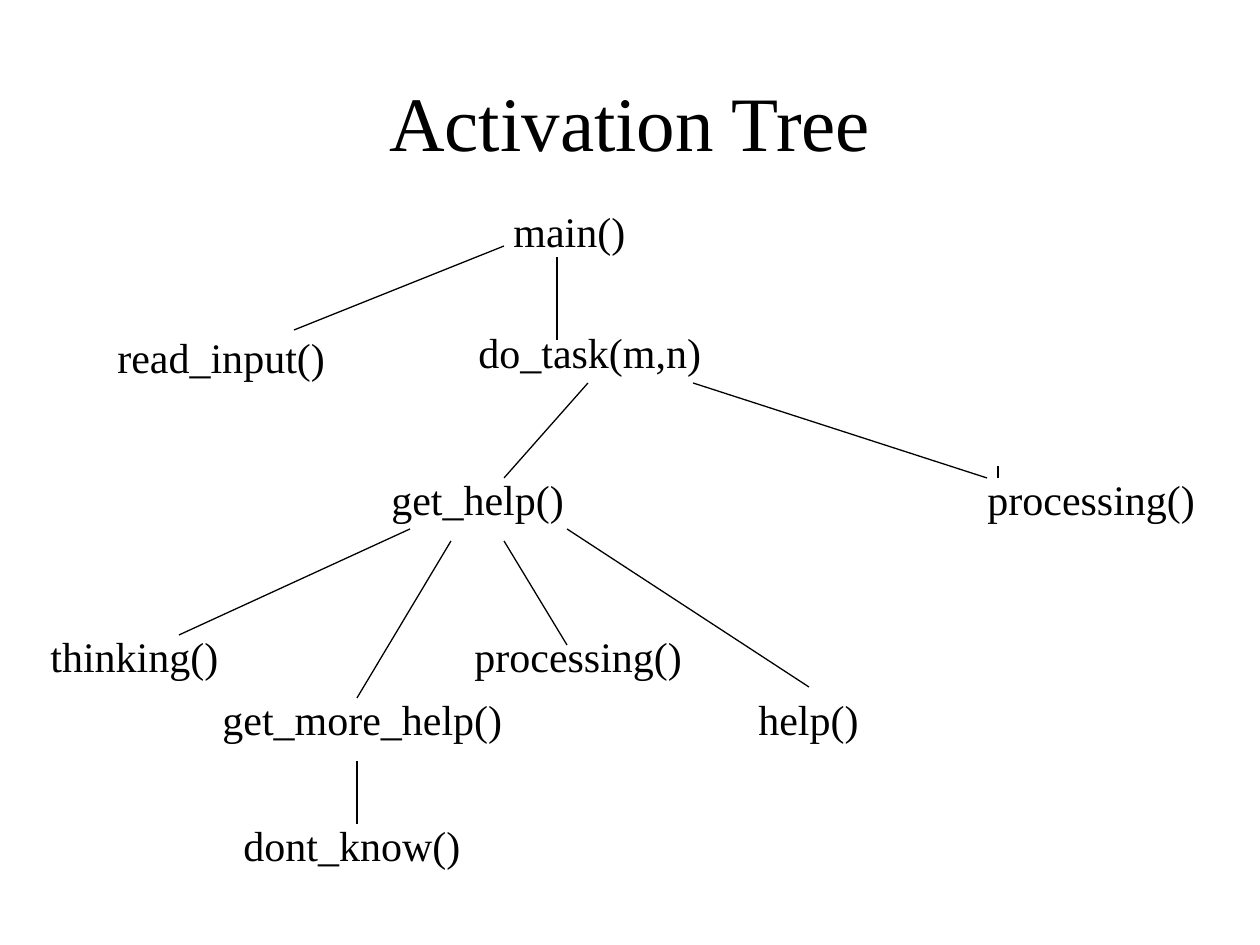
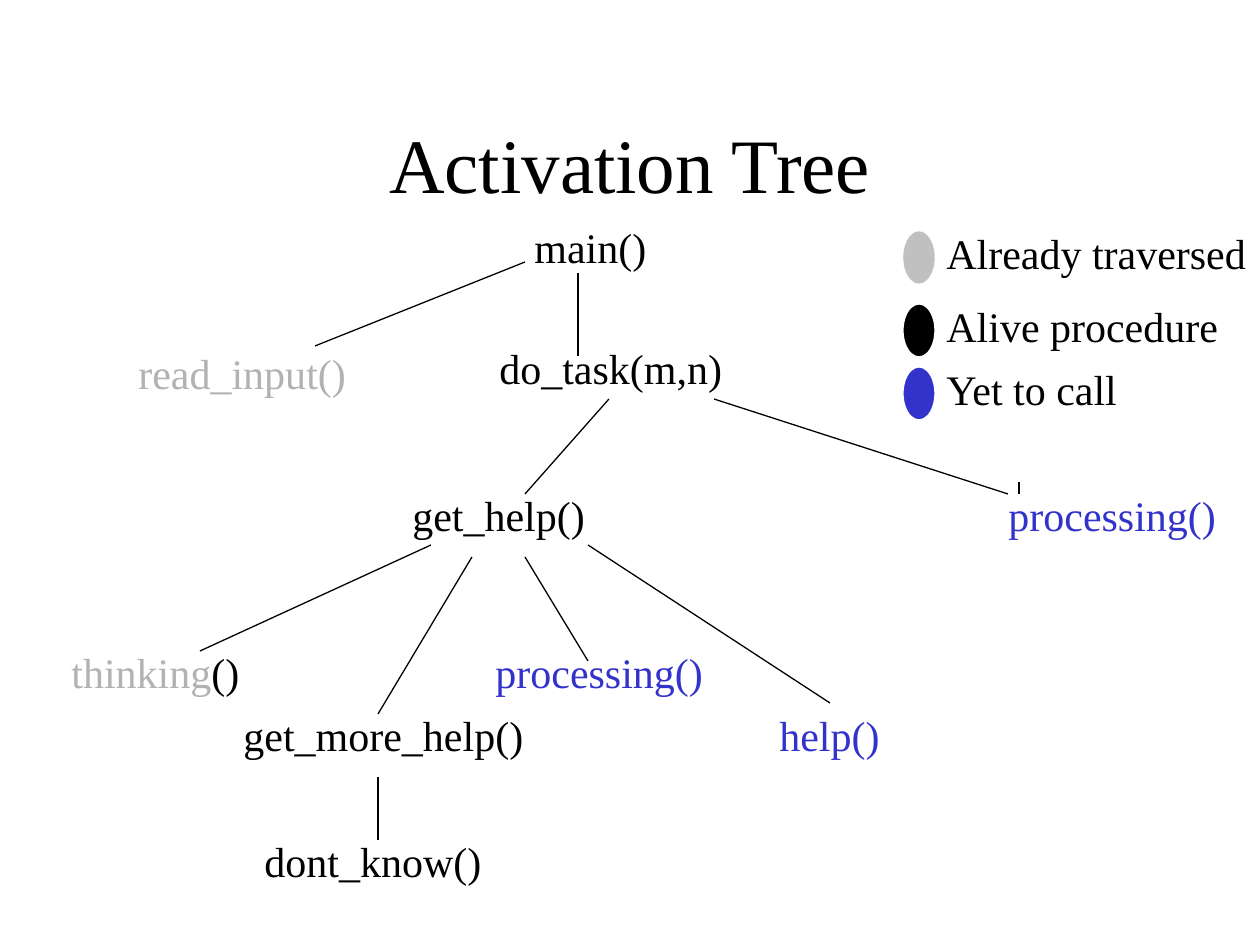
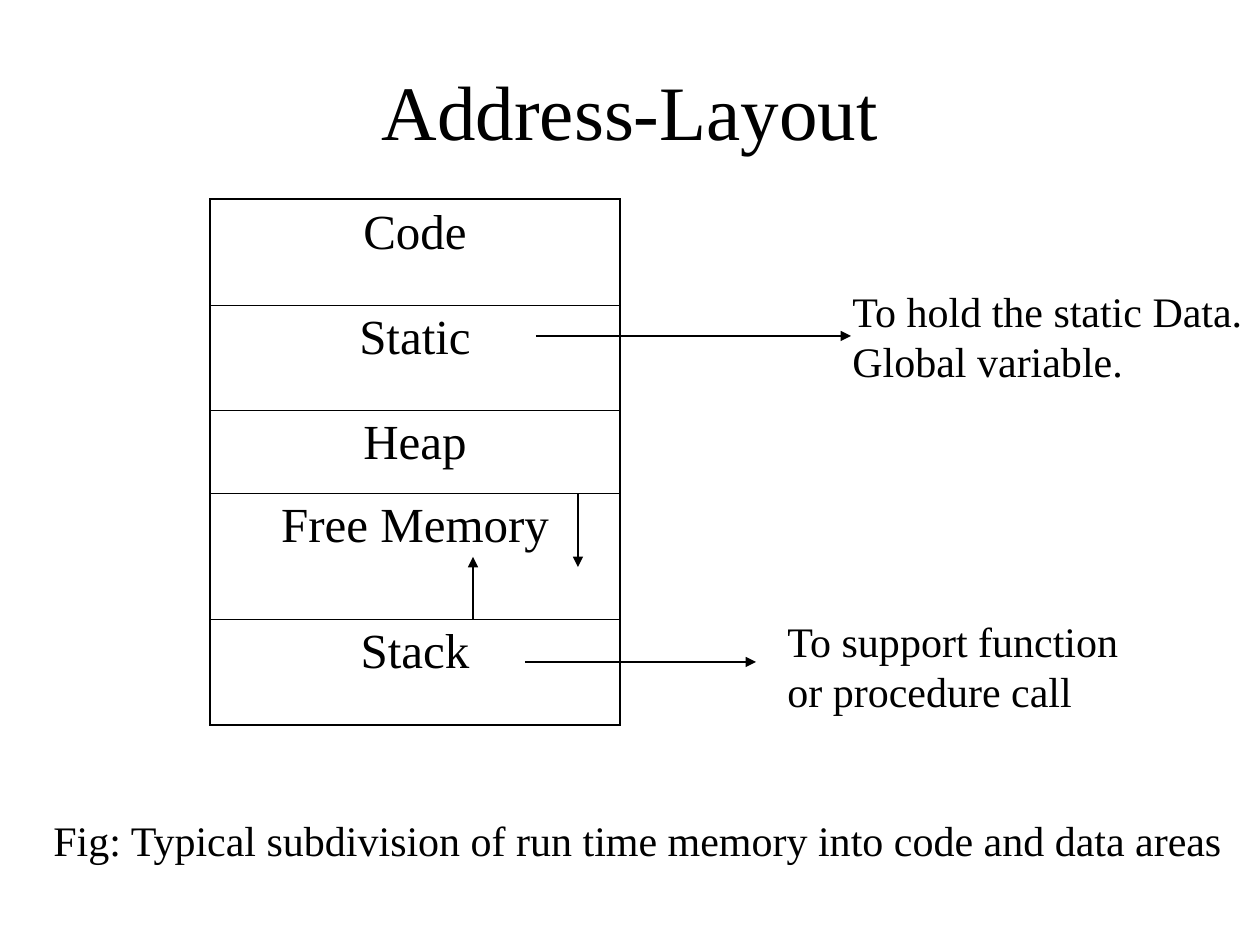
"""Build three slides on activation trees and run-time memory layout."""
from lxml import etree
from pptx import Presentation
from pptx import util as u
from pptx.dml.color import RGBColor
from pptx.enum import shapes, text
from pptx.oxml import ns

BLACK = RGBColor(0x00, 0x00, 0x00)
WHITE = RGBColor(0xFF, 0xFF, 0xFF)
GREY = RGBColor(0xB2, 0xB2, 0xB2)
SILVER = RGBColor(0xC0, 0xC0, 0xC0)
BLUE = RGBColor(0x33, 0x33, 0xCC)

FONT = "Times New Roman"
EMU_PER_PX = 914400 / 126
SLIDE_WIDTH, SLIDE_HEIGHT = 1260, 945
LINE_HEIGHT = 50
TEXT_MARGIN = 13

CALLS = [
    ("main()", 501, 199, 139),
    ("read_input()", 105, 325, 234),
    ("do_task(m,n)", 466, 320, 249),
    ("get_help()", 379, 467, 200),
    ("processing()", 975, 467, 234),
    ("thinking()", 38, 624, 194),
    ("get_more_help()", 210, 687, 306),
    ("processing()", 462, 624, 234),
    ("help()", 746, 687, 128),
    ("dont_know()", 231, 813, 244),
]
BRANCHES = [
    (504, 246, 294, 330),
    (557, 257, 557, 340),
    (588, 383, 504, 478),
    (693, 383, 987, 478),
    (998, 466, 998, 478),
    (410, 529, 179, 635),
    (451, 541, 357, 698),
    (504, 541, 567, 645),
    (567, 529, 809, 687),
    (357, 761, 357, 824),
]
CALL_STATES = {
    "read_input()": [("read_input()", GREY)],
    "thinking()": [("thinking", GREY), ("()", BLACK)],
    "processing()": [("processing()", BLUE)],
    "help()": [("help()", BLUE)],
}
LEGEND = [
    ("Already traversed", SILVER, 221, 326, 0.25),
    ("Alive procedure", BLACK, 294, 299, 0.75),
    ("Yet to call", BLUE, 357, 202, 0.75),
]
MEMORY_AREAS = [("Code", 106), ("Static", 105), ("Heap", 83), ("Free Memory", 126), ("Stack", 106)]


def px(length):
    """Turn pixels into EMU."""
    return u.Emu(round(length * EMU_PER_PX))


class Deck:
    """Hold the style and the current slide."""

    def __init__(self):
        """Start a presentation of the right size."""
        self.presentation = Presentation()
        self.presentation.slide_width = px(SLIDE_WIDTH)
        self.presentation.slide_height = px(SLIDE_HEIGHT)
        self.slide = None

    def add_slide(self, title, top):
        """Add a blank slide with a centred title."""
        self.slide = self.presentation.slides.add_slide(self.presentation.slide_layouts[6])
        box = self.slide.shapes.add_textbox(px(94), px(top), px(1072), px(158))
        frame = box.text_frame
        frame.word_wrap = True
        frame.vertical_anchor = text.MSO_ANCHOR.MIDDLE
        frame.paragraphs[0].alignment = text.PP_ALIGN.CENTER
        self.run(frame.paragraphs[0], title, 44)

    def run(self, paragraph, words, size, color=BLACK):
        """Add one styled run."""
        run = paragraph.add_run()
        run.text = words
        run.font.name = FONT
        run.font.size = u.Pt(size)
        run.font.color.rgb = color

    def label(self, left, top, width, *lines):
        """Add unwrapped lines, each a list of words and colours."""
        height = TEXT_MARGIN + LINE_HEIGHT * len(lines)
        box = self.slide.shapes.add_textbox(px(left), px(top), px(width), px(height))
        frame = box.text_frame
        frame.word_wrap = False
        frame.auto_size = text.MSO_AUTO_SIZE.SHAPE_TO_FIT_TEXT
        for index, runs in enumerate(lines):
            paragraph = frame.add_paragraph() if index else frame.paragraphs[0]
            for words, color in runs:
                self.run(paragraph, words, 24, color)

    def line(self, x1, y1, x2, y2, arrow=False):
        """Add a thin black line or arrow."""
        connector = self.slide.shapes.add_connector(
            shapes.MSO_CONNECTOR.STRAIGHT, px(x1), px(y1), px(x2), px(y2))
        connector.line.color.rgb = BLACK
        connector.line.width = u.Pt(0.75)
        if arrow:
            etree.SubElement(connector.line._get_or_add_ln(), ns.qn("a:tailEnd"), type="triangle")
        etree.SubElement(connector._element.spPr, ns.qn("a:effectLst"))

    def dot(self, left, top, color, outline):
        """Add a legend ellipse."""
        shape = self.slide.shapes.add_shape(
            shapes.MSO_SHAPE.OVAL, px(left), px(top), px(32), px(53))
        shape.shadow.inherit = False
        shape.fill.solid()
        shape.fill.fore_color.rgb = color
        shape.line.color.rgb = WHITE
        shape.line.width = u.Pt(outline)

    def border(self, cell, side, width):
        """Draw one black cell border."""
        line = etree.SubElement(
            cell._tc.get_or_add_tcPr(), ns.qn(f"a:ln{side}"), w=str(u.Pt(width)))
        fill = etree.SubElement(line, ns.qn("a:solidFill"))
        etree.SubElement(fill, ns.qn("a:srgbClr"), val=str(BLACK))

    def stack(self, left, top, width, rows):
        """Add a one-column table with a heavier outer border."""
        height = sum(row_height for _, row_height in rows)
        table = self.slide.shapes.add_table(
            len(rows), 1, px(left), px(top), px(width), px(height)).table
        table.first_row = table.horz_banding = False
        for index, (name, row_height) in enumerate(rows):
            table.rows[index].height = px(row_height)
            cell = table.cell(index, 0)
            self.border(cell, "L", 1.08)
            self.border(cell, "R", 1.08)
            self.border(cell, "T", 0.45 if index else 1.08)
            self.border(cell, "B", 0.45 if index < len(rows) - 1 else 1.08)
            cell.fill.background()
            paragraph = cell.text_frame.paragraphs[0]
            paragraph.alignment = text.PP_ALIGN.CENTER
            self.run(paragraph, name, 28)

    def tree(self, dx=0, dy=0, states={}):
        """Draw the activation tree, shifted and coloured by call state."""
        for name, left, top, width in CALLS:
            self.label(left + dx, top + dy, width, states.get(name, [(name, BLACK)]))
        for x1, y1, x2, y2 in BRANCHES:
            self.line(x1 + dx, y1 + dy, x2 + dx, y2 + dy)


def main():
    """Build and save the slides."""
    deck = Deck()

    deck.add_slide("Activation Tree", 42)
    deck.tree()

    deck.add_slide("Activation Tree", 84)
    deck.tree(21, 16, CALL_STATES)
    for meaning, color, top, width, outline in LEGEND:
        deck.dot(903, top + 10, color, outline)
        deck.label(934, top, width, [(meaning, BLACK)])

    deck.add_slide("Address-Layout", 31)
    deck.stack(210, 199, 410, MEMORY_AREAS)
    for arrow in [(473, 620, 473, 557), (578, 494, 578, 567),
                  (525, 662, 756, 662), (536, 336, 851, 336)]:
        deck.line(*arrow, arrow=True)
    deck.label(775, 609, 370, [("To support function", BLACK)], [("or procedure call", BLACK)])
    deck.label(840, 279, 419, [("To hold the static Data.", BLACK)], [("Global variable.", BLACK)])
    deck.label(41, 808, 1208, [
        ("Fig: Typical subdivision of run time memory into code and data areas", BLACK)])

    deck.presentation.save("out.pptx")


if __name__ == "__main__":
    main()
